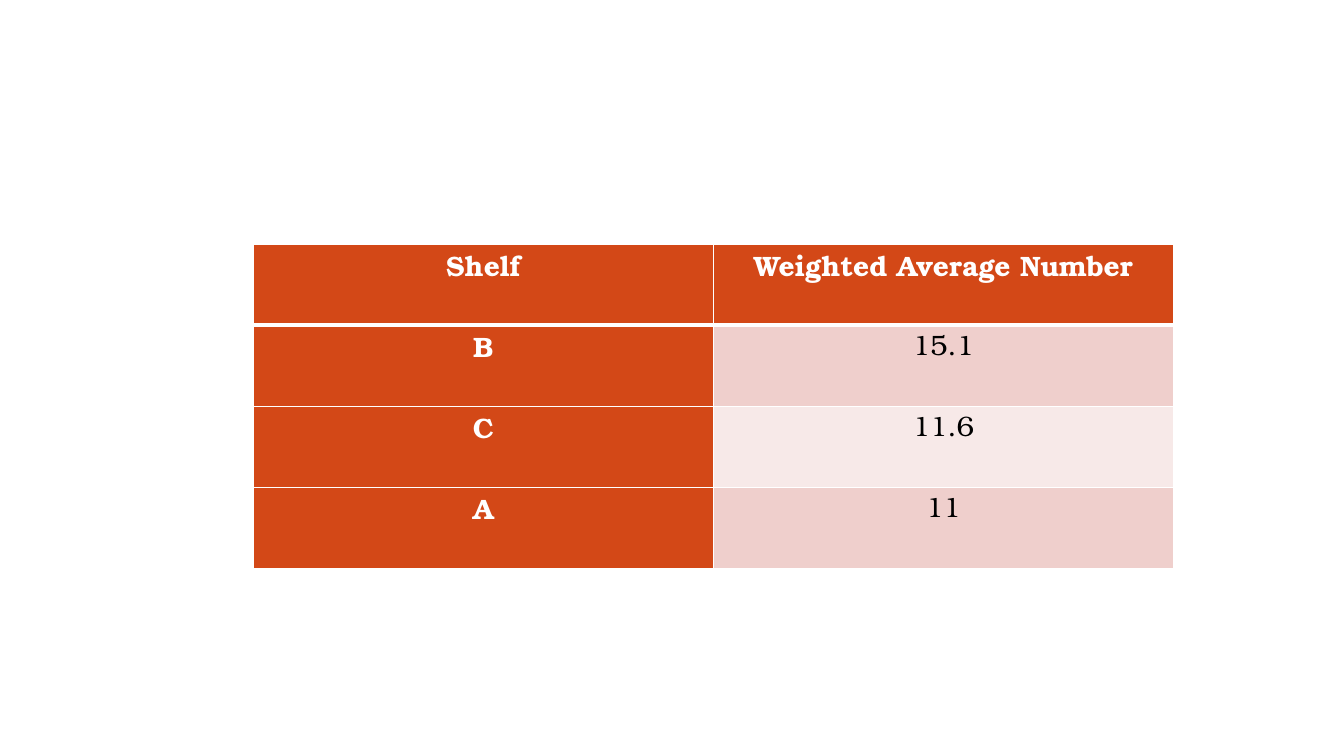
from lxml.etree import SubElement
from pptx import Presentation
from pptx.dml.color import RGBColor
from pptx.enum.shapes import MSO_SHAPE
from pptx.enum.text import PP_ALIGN
from pptx.oxml.ns import qn
from pptx.util import Inches, Pt

FONT = "TeX Gyre Bonum"
WHITE, BLACK, ORANGE = "FFFFFF", "000000", "D34817"
BANDS = ("EFCFCC", "F7E9E8")
SHELVES = [
    ("Shelf", "Weighted Average Number"),
    ("B", "15.1"),
    ("C", "11.6"),
    ("A", "11"),
]


def rgb(code):
    return RGBColor.from_string(code)


def add_corner_ring(slide):
    size = Inches(0.44)
    ring = slide.shapes.add_shape(
        MSO_SHAPE.OVAL, Inches(12.5), Inches(6.84), size, size
    )
    ring.shadow.inherit = False
    ring.fill.background()
    ring.line.color.rgb = rgb(WHITE)
    ring.line.width = Pt(1)


def add_borders(cell, top, bottom):
    """Draw white borders; top and bottom are widths in points."""
    properties = cell._tc.get_or_add_tcPr()
    for side, width in (("L", 1), ("R", 1), ("T", top), ("B", bottom)):
        border = SubElement(properties, qn(f"a:ln{side}"), w=str(Pt(width)))
        fill = SubElement(border, qn("a:solidFill"))
        SubElement(fill, qn("a:srgbClr"), val=WHITE)


def fill_cell(cell, text, fill, color, bold):
    cell.fill.solid()
    cell.fill.fore_color.rgb = rgb(fill)
    cell.margin_left = cell.margin_right = Inches(0.12)
    cell.margin_top = cell.margin_bottom = 0
    cell.text_frame.text = text
    paragraph = cell.text_frame.paragraphs[0]
    paragraph.alignment = PP_ALIGN.CENTER
    font = paragraph.runs[0].font
    font.name, font.size, font.bold = FONT, Pt(20), bold
    font.color.rgb = rgb(color)


def add_shelf_table(slide):
    table = slide.shapes.add_table(
        len(SHELVES), len(SHELVES[0]),
        Inches(2.51), Inches(2.42), Inches(9.13), Inches(3.22),
    ).table
    table.first_col = True
    for row, texts in enumerate(SHELVES):
        for column, text in enumerate(texts):
            cell = table.cell(row, column)
            add_borders(cell, 1, 3 if row == 0 else 1)
            if row == 0 or column == 0:
                fill_cell(cell, text, ORANGE, WHITE, True)
            else:
                fill_cell(cell, text, BANDS[(row - 1) % 2], BLACK, False)


def main():
    deck = Presentation()
    deck.slide_width, deck.slide_height = Inches(13.33), Inches(7.5)
    slide = deck.slides.add_slide(deck.slide_layouts[6])
    add_corner_ring(slide)
    add_shelf_table(slide)
    deck.save("out.pptx")


if __name__ == "__main__":
    main()
